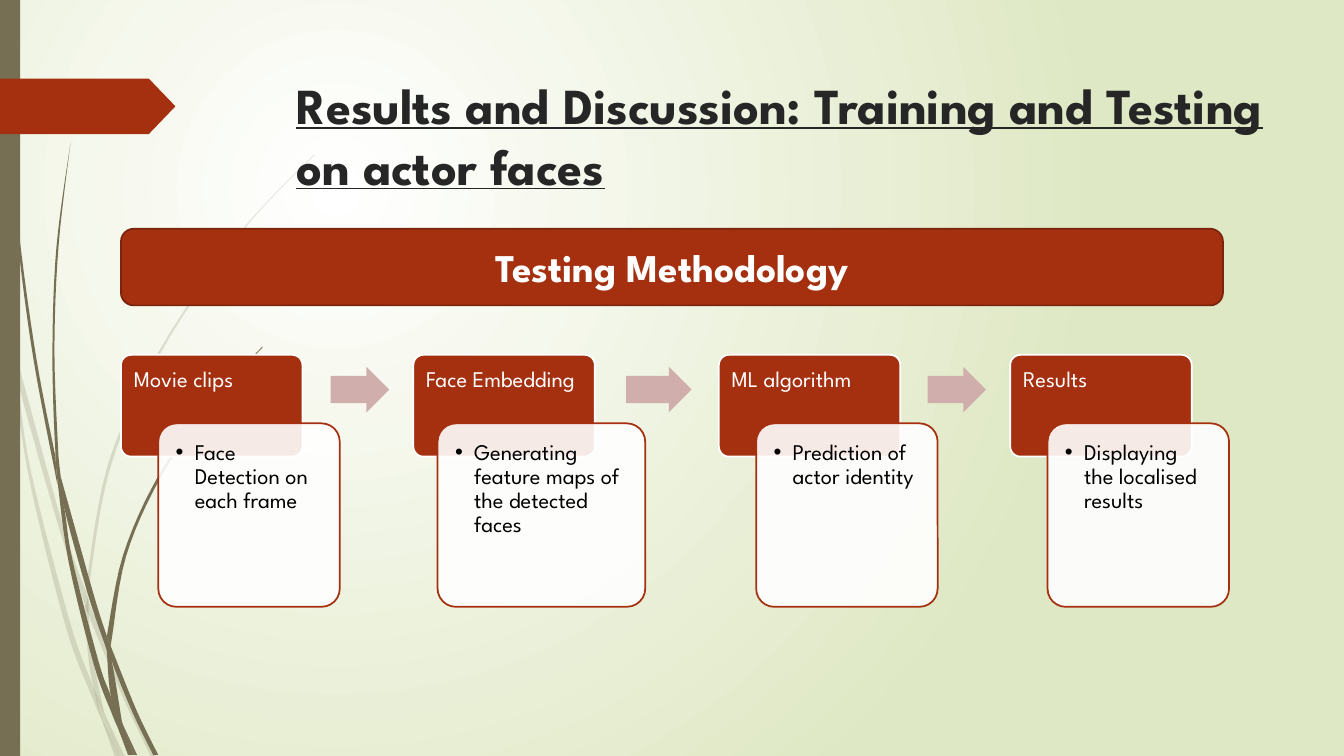
from dataclasses import dataclass

from lxml.etree import SubElement
from pptx import Presentation
from pptx.dml.color import RGBColor
from pptx.enum.shapes import MSO_SHAPE as Preset
from pptx.enum.text import MSO_ANCHOR as Anchor, PP_ALIGN as Align
from pptx.oxml.ns import qn
from pptx.shapes.autoshape import Shape
from pptx.slide import Slide
from pptx.util import Inches, Pt

FONT = "League Spartan"
COLORS = {
    "rust": "A53010", "dark rust": "7A240C", "olive": "766F54", "pink": "CFAEAB",
    "white": "FFFFFF", "green": "DFE8C4", "ink": "262626", "black": "000000",
}
Curve = list[tuple[float, float]]


@dataclass
class Blade:
    """A piece of grass between two curved edges."""
    near: Curve
    far: Curve


@dataclass
class Step:
    title: str
    detail: str
    left: float
    detail_left: float
    detail_width: float = 1.8
    arrow_left: float | None = None
    arrow_width: float = 0.58


PALE_BLADES = [
    Blade([(0, 2.82), (0.09, 3.22), (0.11, 3.5)], [(0.1, 3.44), (0, 2.99)]),
    Blade([(0.14, 3.45), (0.17, 3.76), (0.58, 5.22), (0.84, 5.99)],
          [(0.85, 5.86), (0.62, 5.2), (0.14, 3.45)]),
    Blade([(0.88, 5.96), (0.88, 6.1), (1.23, 6.94), (1.5, 7.51)],
          [(1.55, 7.51), (1.27, 6.92), (0.92, 6.07), (0.88, 5.96)]),
    Blade([(1.05, 7.11), (1.19, 7.51)], [(1.24, 7.51), (1.05, 7.11)]),
    Blade([(0.11, 3.5), (0.28, 4.7), (0.65, 6.21), (0.92, 6.93), (1.01, 7.14)],
          [(0.99, 7.07), (0.93, 6.83), (0.7, 6.19), (0.31, 4.69), (0.17, 3.76), (0.11, 3.5)]),
    Blade([(0.84, 5.99), (0.87, 6.46), (0.93, 6.83), (1.05, 7.11)],
          [(1.03, 7.06), (0.91, 6.46), (0.88, 6.1), (0.84, 5.99)]),
    Blade([(3.12, 1.53), (2.68, 1.97), (2.28, 2.44), (1.58, 3.48), (1.07, 4.61), (0.85, 5.84)],
          [(0.88, 5.96), (0.88, 5.84), (1.1, 4.62), (1.6, 3.49), (2.29, 2.45), (2.68, 1.98),
           (3.12, 1.54)]),
    Blade([(1.01, 7.14), (1.14, 7.51)], [(1.19, 7.51), (1.01, 7.14)]),
    Blade([(0.85, 5.86), (0.84, 5.99), (0.88, 6.1)], [(0.88, 5.96), (0.85, 5.86)]),
    Blade([(0.93, 6.83), (1.01, 7.14), (1.19, 7.51)], [(1.19, 7.51), (1.05, 7.11), (0.93, 6.83)]),
]
DARK_BLADES = [
    Blade([(0.03, 0), (0.07, 1.1), (0.17, 2.33), (0.33, 3.55), (0.57, 4.81)],
          [(0.55, 4.53), (0.36, 3.55), (0.19, 2.32), (0.08, 1.09), (0.04, 0)]),
    Blade([(0.6, 4.72), (0.64, 5.05), (0.88, 5.92), (1.06, 6.45)],
          [(1.06, 6.31), (0.93, 5.9), (0.6, 4.72)]),
    Blade([(1.1, 6.41), (1.11, 6.56), (1.32, 7.08), (1.52, 7.49)],
          [(1.57, 7.49), (1.36, 7.06), (1.13, 6.49), (1.1, 6.41)]),
    Blade([(0.57, 4.77), (0.68, 5.57), (0.93, 6.59), (1.11, 7.08), (1.17, 7.22)],
          [(1.16, 7.17), (1.1, 6.91), (0.98, 6.57), (0.72, 5.56), (0.64, 5.05), (0.57, 4.77)]),
    Blade([(0.7, 1.41), (0.56, 2.45), (0.52, 3.49), (0.55, 4.49), (0.6, 4.72)],
          [(0.58, 4.53), (0.54, 3.49), (0.58, 2.45), (0.7, 1.41)]),
    Blade([(1.22, 7.19), (1.33, 7.49)], [(1.36, 7.49), (1.22, 7.19)]),
    Blade([(0.55, 4.49), (0.57, 4.77), (0.64, 5.05)], [(0.6, 4.72), (0.55, 4.49)]),
    Blade([(2.6, 3.44), (2.04, 4.05), (1.56, 4.74), (1.22, 5.51), (1.06, 6.31)],
          [(1.1, 6.41), (1.11, 6.33), (1.25, 5.52), (1.58, 4.76), (2.05, 4.06), (2.61, 3.44)]),
    Blade([(1.17, 7.22), (1.27, 7.49)], [(1.31, 7.49), (1.17, 7.22)]),
    Blade([(1.06, 6.45), (1.1, 6.91), (1.22, 7.19)], [(1.21, 7.16), (1.11, 6.56), (1.06, 6.45)]),
    Blade([(1.06, 6.31), (1.06, 6.45), (1.11, 6.56)], [(1.1, 6.41), (1.06, 6.31)]),
    Blade([(1.1, 6.91), (1.17, 7.22), (1.3, 7.49)], [(1.33, 7.49), (1.22, 7.19), (1.1, 6.91)]),
]
STEPS = [
    Step("Movie clips", "Face Detection on each frame", 1.2, 1.57, arrow_left=3.28),
    Step("Face Embedding", "Generating feature maps of the detected faces", 4.1, 4.34,
         detail_width=2.06, arrow_left=6.21, arrow_width=0.65),
    Step("ML algorithm", "Prediction of actor identity", 7.13, 7.5, arrow_left=9.2),
    Step("Results", "Displaying the localised results", 10.02, 10.39),
]


def color(name: str) -> RGBColor:
    return RGBColor.from_string(COLORS[name])


def paint(shape: Shape, fill: str, line: str | None = None, opacity: int = 100) -> None:
    shape.shadow.inherit = False
    shape.fill.solid()
    shape.fill.fore_color.rgb = color(fill)
    fill_color = shape.element.spPr.find(f"{qn('a:solidFill')}/{qn('a:srgbClr')}")
    SubElement(fill_color, qn("a:alpha"), val=str(opacity * 1000))
    if line:
        shape.line.color.rgb = color(line)
        shape.line.width = Pt(1.25)
    else:
        shape.line.fill.background()


def add_preset(slide: Slide, preset: Preset, box: tuple[float, ...], fill: str,
               line: str | None = None, opacity: int = 100, adjust: tuple[float, ...] = ()) -> Shape:
    shape = slide.shapes.add_shape(preset, *map(Inches, box))
    for index, value in enumerate(adjust):
        shape.adjustments[index] = value
    paint(shape, fill, line, opacity)
    return shape


def write(shape: Shape, text: str, size: float, ink: str, bold: bool = False,
          margin: float = 0.1, spacing: float = 1.0):
    frame = shape.text_frame
    frame.word_wrap, frame.vertical_anchor = True, Anchor.TOP
    frame.margin_left = frame.margin_right = frame.margin_top = Inches(margin)
    paragraph = frame.paragraphs[0]
    paragraph.text, paragraph.alignment, paragraph.line_spacing = text, Align.LEFT, spacing
    font = paragraph.font
    font.name, font.size, font.bold = FONT, Pt(size), bold
    font.color.rgb = color(ink)
    return paragraph


def add_bullet(paragraph, indent: float) -> None:
    properties = paragraph._p.get_or_add_pPr()
    properties.set("marL", str(Inches(indent)))
    properties.set("indent", str(-Inches(indent)))
    SubElement(properties, qn("a:buFont"), typeface="Arial")
    SubElement(properties, qn("a:buChar"), char="•")


def smooth(points: Curve, pieces: int = 6) -> Curve:
    """Catmull-Rom curve through the points."""
    padded = [points[0], *points, points[-1]]
    return points[:1] + [
        tuple(0.5 * (2 * q + (r - p) * t + (2 * p - 5 * q + 4 * r - s) * t ** 2
                     + (3 * q - p - 3 * r + s) * t ** 3) for p, q, r, s in zip(*corners))
        for corners in zip(padded, padded[1:], padded[2:], padded[3:])
        for t in (piece / pieces for piece in range(1, pieces + 1))]


def add_blade(slide: Slide, blade: Blade, opacity: int) -> None:
    outline = [(Inches(x), Inches(y)) for x, y in smooth(blade.near) + smooth(blade.far)]
    builder = slide.shapes.build_freeform(*outline[0])
    builder.add_line_segments(outline[1:], close=True)
    paint(builder.convert_to_shape(), "olive", opacity=opacity)


def add_background(slide: Slide) -> None:
    fill = slide.background.fill
    fill.gradient()
    for stop, name, position in zip(fill.gradient_stops, ("white", "green"), (0, 1)):
        stop.color.rgb, stop.position = color(name), position
    gradient = slide.element.find(f".//{qn('a:gradFill')}")
    gradient.remove(gradient.find(qn("a:lin")))
    circle = SubElement(gradient, qn("a:path"), {"path": "circle"})
    SubElement(circle, qn("a:fillToRect"), l="50000", t="50000", r="100000", b="100000")


def add_step(slide: Slide, step: Step) -> None:
    heading = add_preset(slide, Preset.ROUNDED_RECTANGLE, (step.left, 3.52, 1.8, 1.01),
                         "rust", "white", adjust=(0.1,))
    write(heading, step.title, 16, "white", spacing=0.9)
    box = (step.detail_left, 4.2, step.detail_width, 1.82)
    detail = add_preset(slide, Preset.ROUNDED_RECTANGLE, box, "white", "rust", 90, (0.1,))
    add_bullet(write(detail, step.detail, 16, "black", margin=0.12, spacing=0.9), 0.19)
    if step.arrow_left is not None:
        add_preset(slide, Preset.RIGHT_ARROW, (step.arrow_left, 3.64, step.arrow_width, 0.45),
                   "pink", adjust=(0.6, 0.5))


def main() -> None:
    presentation = Presentation()
    presentation.slide_width, presentation.slide_height = Inches(13.33), Inches(7.5)
    slide = presentation.slides.add_slide(presentation.slide_layouts[6])
    # Backdrop
    add_background(slide)
    for blades, opacity in ((PALE_BLADES, 20), (DARK_BLADES, 100)):
        for blade in blades:
            add_blade(slide, blade, opacity)
    add_preset(slide, Preset.RECTANGLE, (0, 0, 0.2, 7.5), "olive")
    add_preset(slide, Preset.PENTAGON, (0, 0.78, 1.74, 0.55), "rust", adjust=(0.48,))
    # Title
    title = slide.shapes.add_textbox(*map(Inches, (2.84, 0.68, 9.75, 1.4)))
    heading = "Results and Discussion: Training and Testing on actor faces"
    write(title, heading, 36, "ink", bold=True, margin=0.06).font.underline = True
    title.text_frame.margin_left = Inches(0.1)
    # Process
    for step in STEPS:
        add_step(slide, step)
    box = (1.2, 2.27, 10.93, 0.76)
    banner = add_preset(slide, Preset.ROUNDED_RECTANGLE, box, "rust", "dark rust")
    write(banner, "Testing Methodology", 28, "white", bold=True, margin=0.05).alignment = Align.CENTER
    banner.text_frame.vertical_anchor = Anchor.MIDDLE
    presentation.save("out.pptx")


if __name__ == "__main__":
    main()
